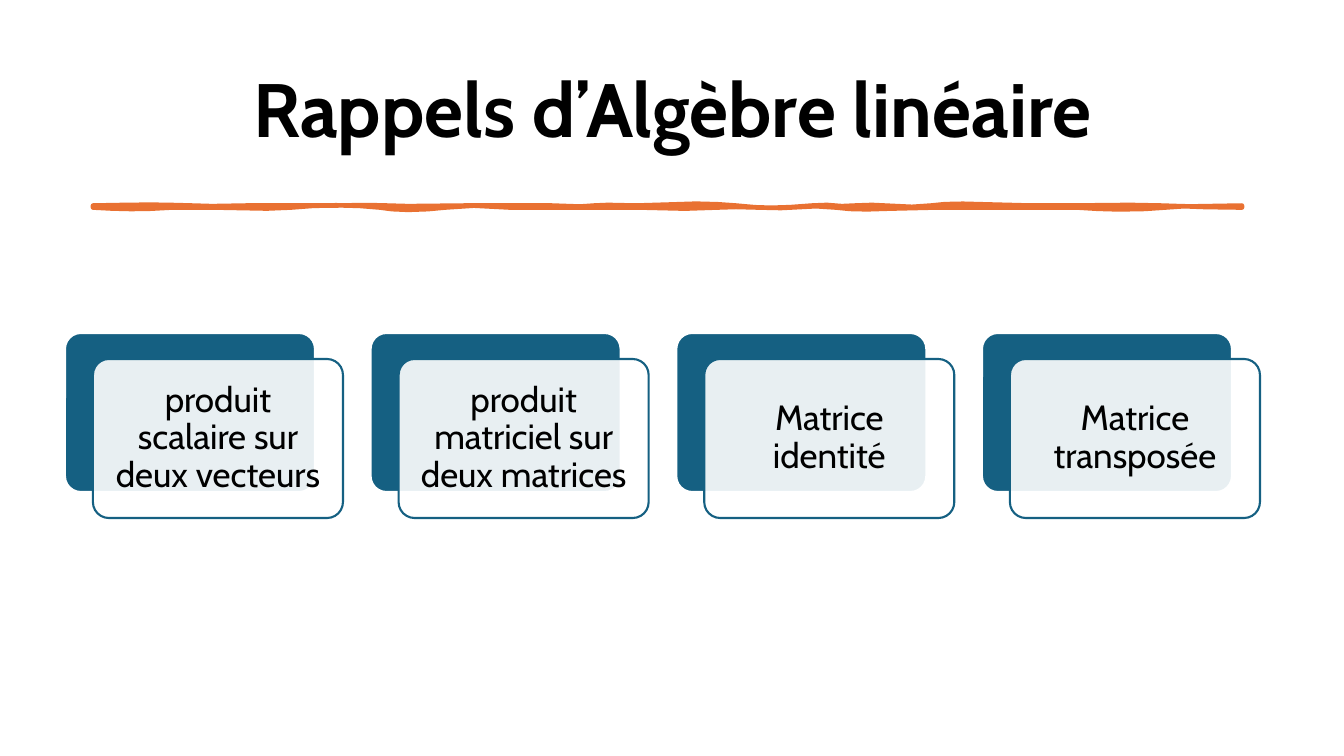
"""Build the linear algebra recap slide: a title, a brush rule and four layered cards."""
from pptx import Presentation
from pptx.dml.color import RGBColor
from pptx.enum.shapes import MSO_SHAPE as Shape
from pptx.enum.text import MSO_ANCHOR as Anchor, PP_ALIGN as Align
from pptx.oxml.ns import qn
from pptx.util import Pt
from lxml import etree

TITLE = "Rappels d’Algèbre linéaire"
TOPICS = [
    "produit scalaire sur deux vecteurs",
    "produit matriciel sur deux matrices",
    "Matrice identité",
    "Matrice transposée",
]
COLORS = {"text": "000000", "rule": "E97132", "card": "156082", "white": "FFFFFF"}
FONT = "Cabin"

EMU_PER_PX = 914400 / 100.8
SLIDE_SIZE = (1344, 756)
TITLE_BOX = (93, 40, 1159, 146)
CARD_SIZE = (250, 159)
FIRST_LEFT, LAST_LEFT, CARD_TOP = 65, 982, 333
FRONT_SHIFT = (28, 26)
CARD_MARGIN = 10

# Brush edges as (x in px, y in tenths of px)
RULE_TOP = [
    (93, 2056), (125, 2050), (151, 2047), (175, 2051), (192, 2056), (212, 2062),
    (246, 2056), (334, 2056), (368, 2051), (387, 2056), (408, 2062), (464, 2056),
    (552, 2056), (580, 2066), (594, 2056), (608, 2050), (636, 2056), (665, 2047),
    (696, 2037), (718, 2043), (736, 2056), (755, 2073), (771, 2078), (790, 2072),
    (812, 2056), (827, 2050), (842, 2062), (855, 2056), (872, 2050), (912, 2069),
    (931, 2056), (945, 2042), (963, 2038), (985, 2044), (1031, 2056),
    (1090, 2054), (1130, 2050), (1161, 2056), (1189, 2065), (1242, 2056),
]
RULE_BOTTOM = [
    (1242, 2076), (1205, 2071), (1184, 2063), (1165, 2076), (1145, 2090),
    (1119, 2095), (1098, 2089), (1077, 2076), (1035, 2076), (989, 2076),
    (935, 2076), (890, 2087), (867, 2094), (850, 2090), (836, 2076),
    (816, 2063), (781, 2081), (759, 2076), (736, 2070), (717, 2076),
    (685, 2087), (640, 2076), (575, 2076), (510, 2076), (474, 2057),
    (445, 2076), (428, 2092), (408, 2099), (392, 2092), (380, 2076),
    (360, 2060), (336, 2053), (312, 2060), (291, 2076), (267, 2086),
    (215, 2076), (172, 2076), (150, 2088), (131, 2091), (112, 2086), (93, 2076),
]


def px(length):
    return round(length * EMU_PER_PX)


def color(name):
    return RGBColor.from_string(COLORS[name])


def paint(shape, fill, line, width):
    shape.shadow.inherit = False
    shape.fill.solid()
    shape.fill.fore_color.rgb = color(fill)
    shape.line.color.rgb = color(line)
    shape.line.width = Pt(width)


def write(shape, text, size, bold=False):
    frame = shape.text_frame
    frame.text = text
    frame.word_wrap = True
    frame.vertical_anchor = Anchor.MIDDLE
    paragraph = frame.paragraphs[0]
    paragraph.alignment = Align.CENTER
    paragraph.line_spacing = 0.9
    font = paragraph.font
    font.name, font.size, font.bold = FONT, Pt(size), bold
    font.color.rgb = color("text")


def add_title(slide):
    title = slide.shapes.title
    title.left, title.top, title.width, title.height = map(px, TITLE_BOX)
    write(title, TITLE, 54, bold=True)


def add_rule(slide):
    points = [(x * 10, y) for x, y in RULE_TOP + RULE_BOTTOM]
    builder = slide.shapes.build_freeform(*points[0], scale=EMU_PER_PX / 10)
    builder.add_line_segments(points[1:], close=True)
    paint(builder.convert_to_shape(), "rule", "rule", 3.25)


def add_panel(slide, left, top, fill, line):
    panel = slide.shapes.add_shape(
        Shape.ROUNDED_RECTANGLE, px(left), px(top), *map(px, CARD_SIZE))
    panel.adjustments[0] = 0.1
    paint(panel, fill, line, 1.5)
    return panel


def add_card(slide, left, topic):
    add_panel(slide, left, CARD_TOP, "card", "white")
    shift_x, shift_y = FRONT_SHIFT
    front = add_panel(slide, left + shift_x, CARD_TOP + shift_y, "white", "card")
    fill_color = front.fill._xPr.find(qn("a:solidFill"))[0]
    etree.SubElement(fill_color, qn("a:alpha"), val="90000")
    write(front, topic, 25)
    frame = front.text_frame
    frame.margin_left = frame.margin_right = px(CARD_MARGIN)
    frame.margin_top = frame.margin_bottom = px(CARD_MARGIN)


def main():
    presentation = Presentation()
    presentation.slide_width, presentation.slide_height = map(px, SLIDE_SIZE)
    slide = presentation.slides.add_slide(presentation.slide_layouts[5])
    add_title(slide)
    add_rule(slide)
    step = (LAST_LEFT - FIRST_LEFT) / (len(TOPICS) - 1)
    for index, topic in enumerate(TOPICS):
        add_card(slide, FIRST_LEFT + index * step, topic)
    presentation.save("out.pptx")


if __name__ == "__main__":
    main()
